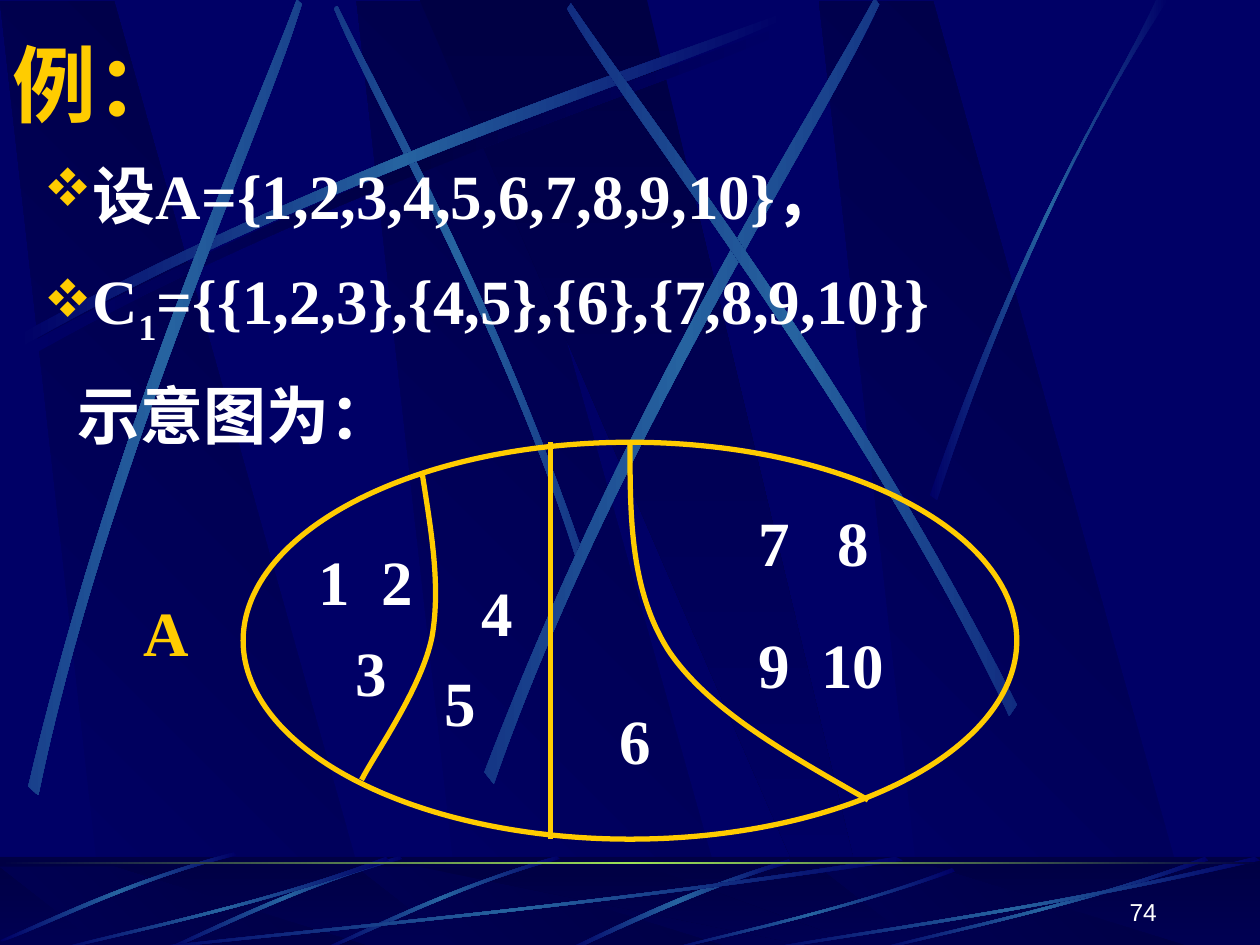
from copy import deepcopy

from lxml import etree
from pptx import Presentation
from pptx.dml.color import RGBColor
from pptx.enum.shapes import MSO_CONNECTOR, MSO_SHAPE
from pptx.enum.text import MSO_ANCHOR, PP_ALIGN
from pptx.oxml.ns import qn
from pptx.util import Inches, Pt

RECTANGLE, ELLIPSE = MSO_SHAPE.RECTANGLE, MSO_SHAPE.OVAL
STRAIGHT = MSO_CONNECTOR.STRAIGHT
LEFT, RIGHT = PP_ALIGN.LEFT, PP_ALIGN.RIGHT
TOP, MIDDLE, BOTTOM = MSO_ANCHOR.TOP, MSO_ANCHOR.MIDDLE, MSO_ANCHOR.BOTTOM

NAVY = RGBColor(0x00, 0x00, 0x66)
DARK = RGBColor(0x00, 0x00, 0x44)
BEAM = RGBColor(0x26, 0x63, 0xA0)
GREEN = RGBColor(0x9C, 0xE1, 0x57)
GOLD = RGBColor(0xFF, 0xCC, 0x00)
WHITE = RGBColor(0xFF, 0xFF, 0xFF)
SERIF, SANS, CHINESE = "Times New Roman", "Arial", "Noto Sans CJK SC"

# Outlines in fractions of their box; an arc is a curve, a short edge and a curve back
BAND = [(0.28, 1), (1, 1), (0.3, 0), (0, 0)]
WEDGE = [(0, 0), (0.9, 1), (1, 1), (0.5, 0)]
ARC = [(0, 0.96), (0.43, 0.43), (0.83, 0.15), (1, 0),
       (1, 0.02), (0.84, 0.19), (0.38, 0.5), (0, 1)]
EDGE_ARC = [(0, 0.99), (0.4, 0.44), (0.79, 0.17), (0.95, 0),
            (1, 0), (0.48, 0.37), (0.16, 0.81), (0.03, 1)]
FLOOR_ARC = [(1, 0.04), (0.57, 0.57), (0.17, 0.85), (0.01, 1),
             (0, 0.99), (0.17, 0.81), (0.62, 0.51), (0.99, 0)]
SHORT_ARC = [(0.99, 0), (0.49, 0.37), (0.16, 0.82), (0, 0.99),
             (0.03, 1), (0.23, 0.77), (0.68, 0.25), (1, 0.04)]


def add_outline(slide, points, curve_starts=(), close=True):
    """Each curve start is the index of a point followed by two controls and an end."""
    points = [(Inches(x), Inches(y)) for x, y in points]
    builder = slide.shapes.build_freeform(*points[0])
    builder.add_line_segments(points[1:], close=close)
    shape = builder.convert_to_shape()
    shape.shadow.inherit = False
    segments = shape.element.findall(".//" + qn("a:lnTo"))
    for start in curve_starts:
        first, *others = segments[start:start + 3]
        first.tag = qn("a:cubicBezTo")
        for segment in others:
            first.append(segment[0])
            segment.getparent().remove(segment)
    return shape


def fill_gradient(shape, colours, angle=0):
    shape.line.fill.background()
    shape.fill.gradient()
    shape.fill.gradient_angle = angle
    stop_list = shape.element.find(".//" + qn("a:gsLst"))
    for _ in colours[2:]:
        stop_list.append(deepcopy(stop_list[0]))
    for index, (stop, colour) in enumerate(zip(shape.fill.gradient_stops, colours)):
        stop.color.rgb = colour
        stop.position = index / (len(colours) - 1)


def place(outline, box):
    left, top, width, height = box
    return [(left + x * width, top + y * height) for x, y in outline]


def add_panel(slide, outline, box, colours, angle):
    fill_gradient(add_outline(slide, place(outline, box)), colours, angle)


def add_streak(slide, outline, box, rotation=0, mirror=False, colour=BEAM):
    if mirror:
        outline = [(1 - x, y) for x, y in outline]
    shape = add_outline(slide, place(outline, box), curve_starts=(0, 4))
    fill_gradient(shape, (NAVY, colour, NAVY))
    if rotation:
        shape.rotation = rotation
        shape.element.find(".//" + qn("a:gradFill")).set("rotWithShape", "0")


def add_bar(slide, top, height):
    shape = slide.shapes.add_shape(RECTANGLE, 0, Inches(top), Inches(10), Inches(height))
    shape.shadow.inherit = False
    shape.line.fill.background()
    return shape


def format_line(line):
    line.color.rgb = GOLD
    line.width = Pt(3)


def add_text(paragraph, text, size=36, font=SERIF, colour=WHITE, bold=True,
             subscript=False, spacing=0):
    run = paragraph.add_run()
    run.text = text
    run.font.size, run.font.bold, run.font.name = Pt(size), bold, font
    run.font.color.rgb = colour
    properties = run.font._element
    etree.SubElement(properties, qn("a:ea")).set("typeface", CHINESE)
    if subscript:
        properties.set("baseline", "-25000")
    if spacing:
        properties.set("spc", str(spacing * 100))


def format_paragraph(paragraph, before=0, margin=0, indent=0, bullet=False):
    properties = paragraph._p.get_or_add_pPr()
    properties.set("marL", str(Inches(margin)))
    properties.set("indent", str(Inches(indent)))
    if bullet:
        colour = etree.SubElement(properties, qn("a:buClr"))
        etree.SubElement(colour, qn("a:srgbClr")).set("val", str(GOLD))
        etree.SubElement(properties, qn("a:buSzPct")).set("val", "85000")
        etree.SubElement(properties, qn("a:buFont")).set("typeface", "Wingdings")
        etree.SubElement(properties, qn("a:buChar")).set("char", "v")  # four diamonds
    paragraph.line_spacing = 1.2
    paragraph.space_before = Pt(before)


def add_box(slide, box, anchor=TOP):
    frame = slide.shapes.add_textbox(*map(Inches, box)).text_frame
    frame.word_wrap = True
    frame.vertical_anchor = anchor
    return frame


def add_label(slide, box, lines, before=0, indent=0.29, spacing=0, colour=WHITE):
    """Each line is a list of words; spacing widens the gap between them, in points."""
    frame = add_box(slide, box)
    for index, (words, extra) in enumerate(lines):
        paragraph = frame.add_paragraph() if index else frame.paragraphs[0]
        format_paragraph(paragraph, before=before if index else 0, indent=indent + extra)
        for position, word in enumerate(words):
            if position:
                add_text(paragraph, " ", colour=colour, spacing=spacing - 9 * index)
            add_text(paragraph, word, colour=colour)


def draw_backdrop(slide):
    slide.background.fill.solid()
    slide.background.fill.fore_color.rgb = NAVY
    band_lefts = (2.83, 0, 6.5)
    # Wall: bands and light beams
    for left in band_lefts:
        add_panel(slide, BAND, (left, 0.01, 3.02, 7.52), (NAVY, DARK), 45)
    add_panel(slide, WEDGE, (3.33, 0, 3.61, 7.51), (DARK, NAVY), 270)
    add_streak(slide, ARC, (0.2, 0.18, 6.08, 2.67), colour=DARK)
    for box, rotation, mirror in (((1.41, 1.35, 4.42, 1.75), 45, True),
                                  ((0.14, 0.1, 6.08, 2.67), 0, False),
                                  ((-1.71, 1.82, 6.08, 2.67), 311.7, False),
                                  ((2.31, 1.6, 6.24, 3.01), 321.6, False),
                                  ((3.23, 1.52, 6.08, 2.67), 34.7, True)):
        add_streak(slide, ARC, box, rotation, mirror)
    add_streak(slide, EDGE_ARC, (7.38, 0, 1.89, 3.97))
    # Floor: the same pattern, flattened and dimmed
    fill_gradient(add_bar(slide, 6.8, 0.75), (DARK, NAVY), 270)
    for left in band_lefts:
        add_panel(slide, BAND, (left, 6.88, 3.02, 0.66), (NAVY, DARK), 45)
    add_panel(slide, WEDGE, (3.33, 6.88, 3.61, 0.66), (DARK, NAVY), 270)
    shade = add_bar(slide, 6.8, 0.75)
    shade.fill.solid()
    shade.fill.fore_color.rgb = DARK
    colour = shade.element.spPr.find(".//" + qn("a:srgbClr"))
    etree.SubElement(colour, qn("a:alpha")).set("val", "50000")
    add_streak(slide, SHORT_ARC, (4.48, 6.82, 1.8, 0.73))
    for box in ((2.58, 6.76, 1.84, 0.83), (1.33, 6.76, 1.84, 0.83), (0.04, 6.7, 1.8, 0.85)):
        add_streak(slide, ARC, box, 315, True)
    for left, top, width in ((1, 6.8, 6.17), (0.42, 6.8, 2.67), (5.27, 6.89, 2.31),
                             (6.92, 6.8, 2.67), (6, 6.8, 4)):
        add_streak(slide, FLOOR_ARC, (left, top, width, 7.55 - top))
    fill_gradient(add_bar(slide, 6.84, 0.02), (DARK, GREEN, DARK))


def write_title(slide):
    title = slide.shapes.title
    title.element.getparent().append(title.element)  # in front of the backdrop
    title.left, title.top, title.width, title.height = map(Inches, (0, 0.21, 9.5, 0.9))
    title.text_frame.vertical_anchor = MIDDLE
    paragraph = title.text_frame.paragraphs[0]
    paragraph.alignment = LEFT
    add_text(paragraph, "例：", size=48, font=CHINESE, colour=GOLD)


def write_body(slide):
    frame = add_box(slide, (0.25, 1.07, 9.5, 5.68))
    given, partition, caption = frame.paragraphs[0], frame.add_paragraph(), frame.add_paragraph()
    format_paragraph(given, margin=0.38, indent=-0.38, bullet=True)
    add_text(given, "设A={1,2,3,4,5,6,7,8,9,10}，")
    format_paragraph(partition, before=7.2, margin=0.38, indent=-0.38, bullet=True)
    add_text(partition, "C")
    add_text(partition, "1", subscript=True)
    add_text(partition, "={{1,2,3},{4,5},{6},{7,8,9,10}}")
    format_paragraph(caption, before=8.2, margin=0.27)
    add_text(caption, "示意图为：")


def draw_partition(slide):
    # Set A and the lines that divide it
    ellipse = slide.shapes.add_shape(ELLIPSE, *map(Inches, (1.93, 3.51, 6.14, 3.15)))
    ellipse.shadow.inherit = False
    ellipse.fill.background()
    format_line(ellipse.line)
    left_curve = [(3.35, 3.75), (3.42, 4.2), (3.5, 4.64), (3.43, 5.05),
                  (3.35, 5.46), (2.97, 5.99), (2.87, 6.19)]
    right_curve = [(5, 3.51), (5, 4.1), (5, 4.69), (5.31, 5.17),
                   (5.63, 5.64), (6.26, 5.99), (6.89, 6.35)]
    for points in (left_curve, right_curve):
        curve = add_outline(slide, points, curve_starts=(0, 3), close=False)
        curve.fill.background()
        format_line(curve.line)
    divider = slide.shapes.add_connector(STRAIGHT, *map(Inches, (4.37, 3.51, 4.37, 6.66)))
    etree.SubElement(divider.element.spPr, qn("a:effectLst"))
    format_line(divider.line)
    # Members of each block, and the name of the set
    add_label(slide, (2.09, 4.14, 1.34, 1.54), [("12", 0.05), ("3", 0.34)], spacing=9)
    add_label(slide, (3.43, 4.38, 0.94, 1.54), [(["4 5"], 0)])
    add_label(slide, (4.53, 5.4, 1.26, 0.82), [("6", 0)])
    add_label(slide, (5.63, 3.83, 2.76, 1.84), [("78", 0), (["9", "10"], 0)],
              before=18, spacing=18)
    add_label(slide, (0.75, 4.54, 1.18, 0.82), [("A", 0)], colour=GOLD)


def main():
    presentation = Presentation()
    presentation.slide_width, presentation.slide_height = Inches(10), Inches(7.5)
    slide = presentation.slides.add_slide(presentation.slide_layouts[5])
    draw_backdrop(slide)
    write_title(slide)
    write_body(slide)
    draw_partition(slide)
    # Page number
    number = add_box(slide, (7.2, 6.9, 2.08, 0.5), BOTTOM).paragraphs[0]
    number.alignment = RIGHT
    add_text(number, "74", size=14, font=SANS, bold=False)
    presentation.save("out.pptx")


if __name__ == "__main__":
    main()
